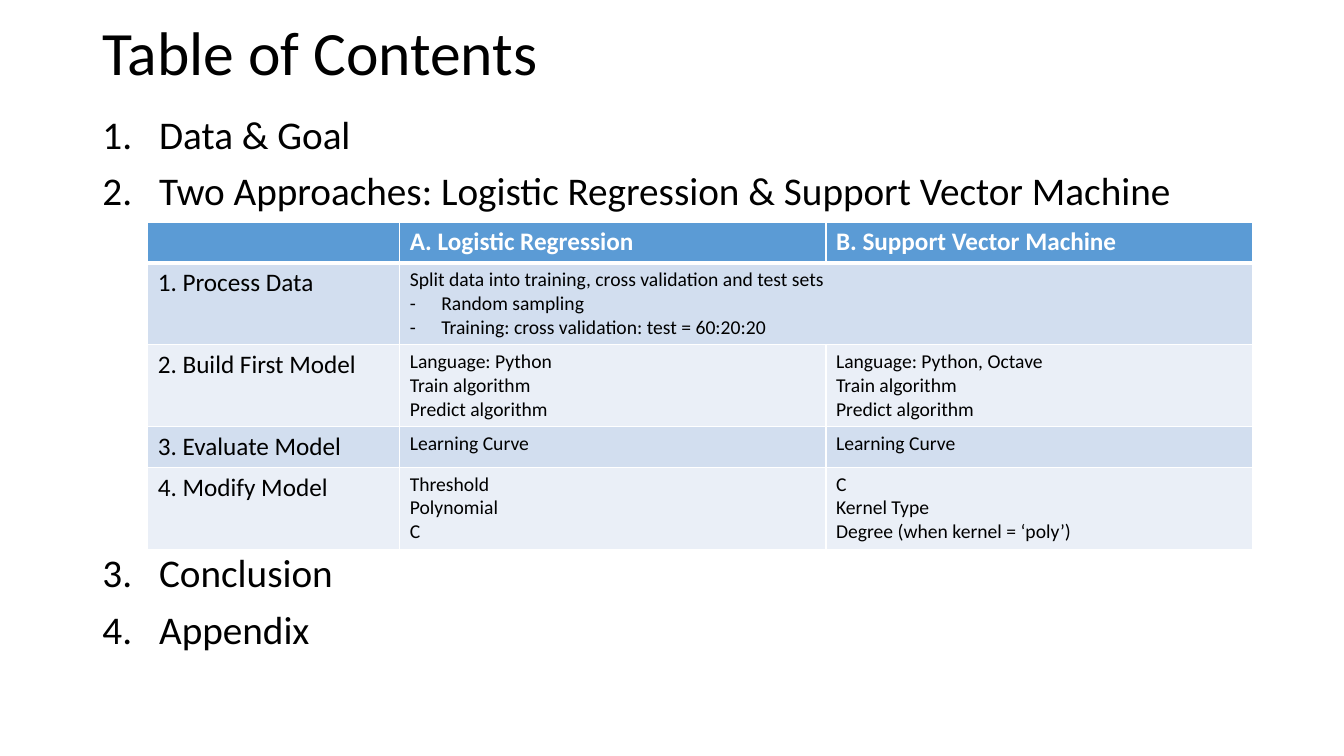
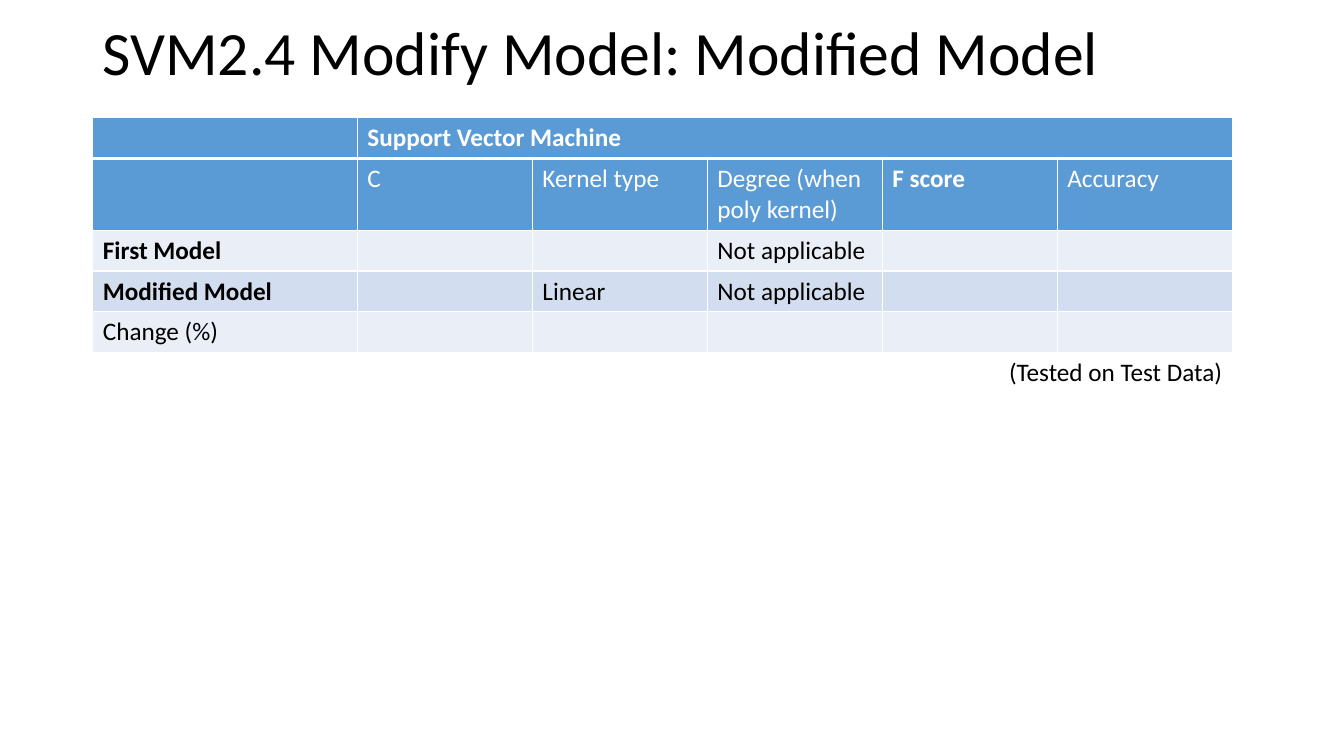
import pptx
import pptx.util
import pptx.dml.color
import pptx.enum.text
import pptx.oxml
import pptx.oxml.ns

Pt = pptx.util.Pt
ALIGN = pptx.enum.text.PP_ALIGN
ANCHOR = pptx.enum.text.MSO_ANCHOR
FONT, BLACK, WHITE = "Calibri", "000000", "FFFFFF"
BLUE, MID, PALE = "5B9BD5", "D2DEEF", "EAEFF7"


def hue(code):
    return pptx.dml.color.RGBColor.from_string(code)


def text(frame, words, size=18, color=BLACK, bold=False, align=ALIGN.LEFT,
         line=1, gap=0, hang=0, bullet=None):
    """Write one paragraph per line; lines that start with "- " get a dash."""
    frame.word_wrap = True
    for i, words in enumerate(words.split("\n")):
        para = frame.add_paragraph() if i else frame.paragraphs[0]
        para.alignment, para.line_spacing, para.space_before = align, line, Pt(gap)
        run = para.add_run()
        run.text = words.removeprefix("- ")
        run.font.name, run.font.size, run.font.bold = FONT, Pt(size), bold
        run.font.color.rgb = hue(color)
        mark = '<a:buChar %s char="-"/>' if words.startswith("- ") else bullet
        if mark:
            props = para._p.get_or_add_pPr()
            inset = hang or 22.5
            props.set("marL", str(Pt(inset)))
            props.set("indent", str(-Pt(inset)))
            for xml in ('<a:buFont %s typeface="' + FONT + '"/>', mark):
                props.append(pptx.oxml.parse_xml(xml % pptx.oxml.ns.nsdecls("a")))


# Content: None joins a cell to the one on its left
pages = [
    dict(title="Table of Contents",
         list="Data & Goal\n"
              "Two Approaches: Logistic Regression & Support Vector Machine\n"
              "Conclusion\nAppendix",
         left=105.5, top=158.5, cols=[180, 304.5, 304.5],
         rows=[29.2, 58.5, 58.5, 29.2, 58.5], fills=[BLUE, MID, PALE, MID, PALE],
         small=14, bold=["A. Logistic Regression", "B. Support Vector Machine"],
         cells=[
             ["", "A. Logistic Regression", "B. Support Vector Machine"],
             ["1. Process Data",
              "Split data into training, cross validation and test sets\n"
              "- Random sampling\n"
              "- Training: cross validation: test = 60:20:20", None],
             ["2. Build First Model",
              "Language: Python\nTrain algorithm\nPredict algorithm",
              "Language: Python, Octave\nTrain algorithm\nPredict algorithm"],
             ["3. Evaluate Model", "Learning Curve", "Learning Curve"],
             ["4. Modify Model", "Threshold\nPolynomial\nC",
              "C\nKernel Type\nDegree (when kernel = ‘poly’)"]]),
    dict(title="SVM2.4 Modify Model: Modified Model", list=None,
         left=66.3, top=84, cols=[189] + [125] * 5,
         rows=[29.2, 51.2] + [29.2] * 4, fills=[BLUE, BLUE, PALE, MID, PALE, None],
         small=18, bold=["Support Vector Machine", "F score", "First Model",
                         "Modified Model"],
         cells=[
             ["", "Support Vector Machine", None, None, None, None],
             ["", "C", "Kernel type", "Degree (when poly kernel)", "F score",
              "Accuracy"],
             ["First Model", "", "", "Not applicable", "", ""],
             ["Modified Model", "", "Linear", "Not applicable", "", ""],
             ["Change (%)", "", "", "", "", ""],
             ["", "", "", "", "(Tested on Test Data)", None]]),
]

deck = pptx.Presentation()
deck.slide_width, deck.slide_height = Pt(960), Pt(540)

for page in pages:
    # Title
    slide = deck.slides.add_slide(deck.slide_layouts[1 if page["list"] else 5])
    title = slide.shapes.title
    title.left, title.top, title.width, title.height = Pt(66), Pt(10), Pt(828), Pt(59)
    title.text_frame.auto_size = pptx.enum.text.MSO_AUTO_SIZE.NONE
    title.text_frame.vertical_anchor = ANCHOR.MIDDLE
    text(title.text_frame, page["title"], size=44, line=0.9)

    # Numbered list, opened up around the table
    if page["list"]:
        body = slide.placeholders[1]
        body.left, body.top, body.width, body.height = Pt(66), Pt(79), Pt(828), Pt(461)
        body.text_frame.auto_size = pptx.enum.text.MSO_AUTO_SIZE.NONE
        text(body.text_frame, page["list"], size=28, line=0.9, gap=10, hang=40.5,
             bullet='<a:buAutoNum %s type="arabicPeriod"/>')
        body.text_frame.paragraphs[2].space_before = Pt(242.5)

    # Table
    cols, rows = page["cols"], page["rows"]
    table = slide.shapes.add_table(
        len(rows), len(cols), Pt(page["left"]), Pt(page["top"]),
        Pt(sum(cols)), Pt(sum(rows))).table
    table.horz_banding = False
    for col, width in zip(table.columns, cols):
        col.width = Pt(width)
    for r, (row, fill) in enumerate(zip(page["cells"], page["fills"])):
        table.rows[r].height = Pt(rows[r])
        for c, words in enumerate(row):
            cell = table.cell(r, c)
            # Borders: thick under the header row
            for side in "LRTB":
                thick = (r, side) in ((0, "B"), (1, "T"))
                cell._tc.get_or_add_tcPr().append(pptx.oxml.parse_xml(
                    f'<a:ln{side} {pptx.oxml.ns.nsdecls("a")} w="{Pt(3 if thick else 1)}">'
                    f'<a:solidFill><a:srgbClr val="{WHITE}"/></a:solidFill></a:ln{side}>'))
            if fill:
                cell.fill.solid()
                cell.fill.fore_color.rgb = hue(fill)
            else:
                cell.fill.background()
            if words:
                text(cell.text_frame, words,
                     size=page["small"] if r and c else 18,
                     color=WHITE if fill == BLUE else BLACK,
                     bold=words in page["bold"],
                     align=ALIGN.LEFT if fill else ALIGN.RIGHT)
        # Joined cells
        if None in row:
            first = row.index(None) - 1
            table.cell(r, first).merge(table.cell(r, len(row) - 1))

deck.save("out.pptx")
